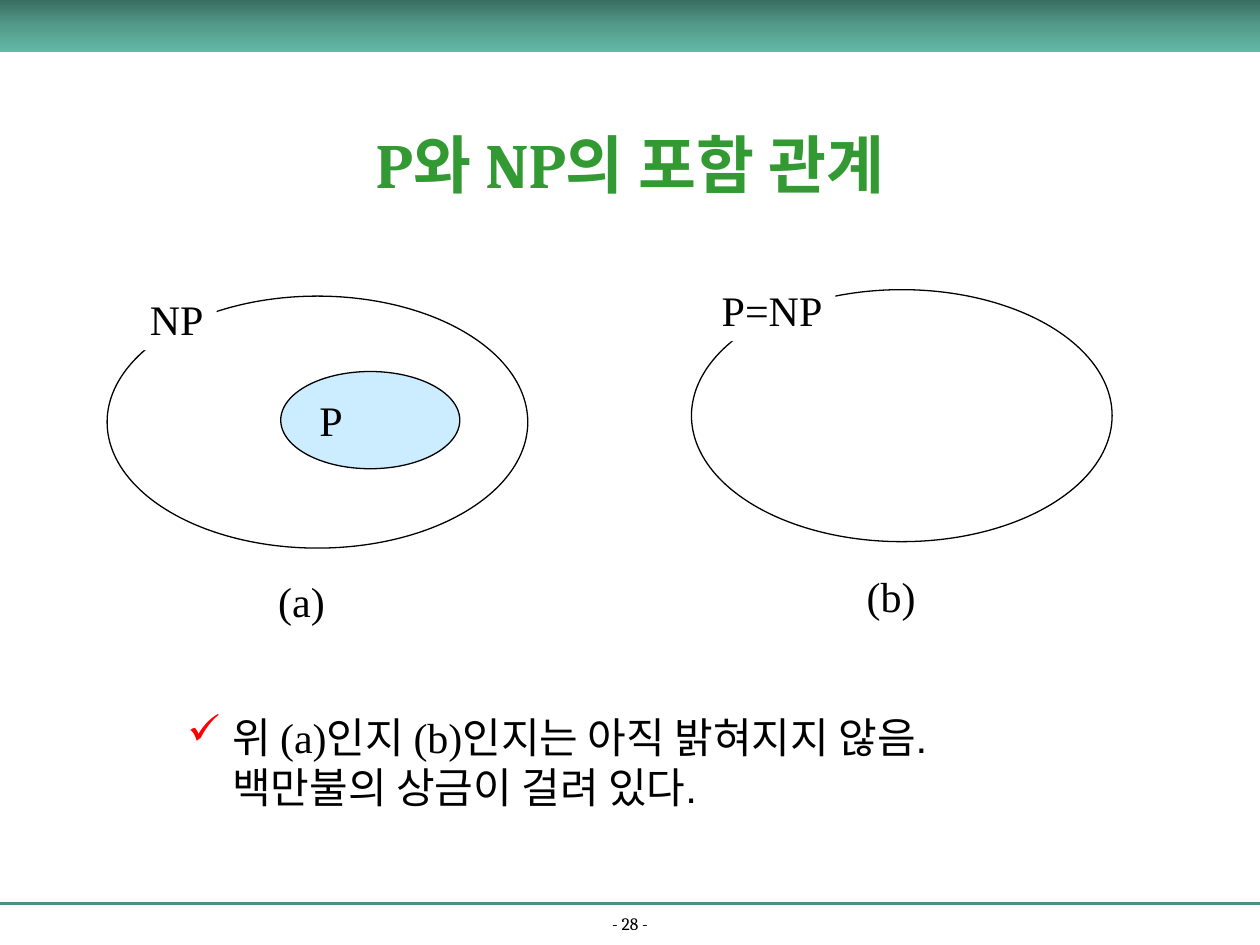
"""Build a slide on how the classes P and NP may contain each other."""
from copy import deepcopy
from lxml import etree
from pptx import Presentation
from pptx.dml.color import RGBColor
from pptx.enum import shapes, text
from pptx.oxml import ns
from pptx.util import Cm, Pt

BLACK = RGBColor(0, 0, 0)
WHITE = RGBColor(255, 255, 255)
GREEN = RGBColor(0x33, 0x99, 0x33)
TEAL = RGBColor(0x4C, 0x92, 0x82)
PALE = RGBColor(0xCC, 0xEC, 0xFF)
SHADES = ((0, "3A6D62"), (0.5, "539C8B"), (1, "62B9A5"))
SERIF = "Times New Roman"
WIDE, HIGH = 25.4, 19.05


def style(run, size=24, face=SERIF, color=BLACK, bold=False):
    """Set the font of one run."""
    font = run.font
    font.size, font.name, font.bold = Pt(size), face, bold
    font.color.rgb = color


def add_label(slide, words, x, y, w, h=1.27, fill=None):
    """Add a one-line text box, with a fill if it masks an outline."""
    box = slide.shapes.add_textbox(Cm(x), Cm(y), Cm(w), Cm(h))
    frame = box.text_frame
    frame.word_wrap = False
    frame.text = words
    style(frame.paragraphs[0].runs[0])
    if fill is not None:
        box.fill.solid()
        box.fill.fore_color.rgb = fill
    return frame


def add_oval(slide, x, y, w, h, fill=None, words=""):
    """Add an outlined oval for one class."""
    oval = slide.shapes.add_shape(
        shapes.MSO_SHAPE.OVAL, Cm(x), Cm(y), Cm(w), Cm(h))
    oval.shadow.inherit = False
    oval.line.color.rgb, oval.line.width = BLACK, Pt(0.75)
    if fill is None:
        oval.fill.background()
    else:
        oval.fill.solid()
        oval.fill.fore_color.rgb = fill
    if words:
        oval.text_frame.text = words
        style(oval.text_frame.paragraphs[0].runs[0])


def add_band(slide):
    """Add the shaded band at the top."""
    band = slide.shapes.add_shape(
        shapes.MSO_SHAPE.RECTANGLE, 0, 0, Cm(WIDE), Cm(1.06))
    band.shadow.inherit = False
    band.line.fill.background()
    band.fill.gradient()
    band.fill.gradient_angle = 270
    first = band.fill.gradient_stops[0]
    stops = band.element.spPr.find(".//" + ns.qn("a:gsLst"))
    stops.insert(1, deepcopy(stops[0]))
    for stop, (place, shade) in zip(band.fill.gradient_stops, SHADES):
        stop.position = place
        stop.color.rgb = RGBColor.from_string(shade)


def add_foot(slide):
    """Add the rule and the page number at the bottom."""
    y = Cm(18.21)
    rule = slide.shapes.add_connector(
        shapes.MSO_CONNECTOR.STRAIGHT, 0, y, Cm(WIDE), y)
    rule.line.color.rgb, rule.line.width = TEAL, Pt(1.5)
    etree.SubElement(rule.element.spPr, ns.qn("a:effectLst"))
    frame = add_label(slide, "- 28 -", 0, 18.39, WIDE, 0.56)
    frame.word_wrap = True
    frame.vertical_anchor = text.MSO_ANCHOR.BOTTOM
    frame.paragraphs[0].alignment = text.PP_ALIGN.CENTER
    style(frame.paragraphs[0].runs[0], 10, "Cambria")


def set_title(slide, words):
    """Place and format the title."""
    title = slide.shapes.title
    title.left, title.top = Cm(1.9), Cm(1.7)
    title.width, title.height = Cm(21.6), Cm(3.18)
    frame = title.text_frame
    frame.text = words
    frame.vertical_anchor = text.MSO_ANCHOR.MIDDLE
    frame.paragraphs[0].alignment = text.PP_ALIGN.CENTER
    style(frame.paragraphs[0].runs[0], 36, "Cambria", GREEN, True)


def add_tick(para):
    """Give a paragraph a red tick as its bullet."""
    props = para._p.get_or_add_pPr()
    props.set("indent", str(-Cm(0.9)))
    hue = etree.SubElement(props, ns.qn("a:buClr"))
    etree.SubElement(hue, ns.qn("a:srgbClr"), val="FF0000")
    etree.SubElement(props, ns.qn("a:buChar"), char="✓")


def add_note(slide, lines):
    """Add the ticked remark, whose lines share one left margin."""
    box = slide.shapes.add_textbox(Cm(3.53), Cm(14.22), Cm(17.5), Cm(2.29))
    frame = box.text_frame
    frame.word_wrap = True
    for i, parts in enumerate(lines):
        para = frame.add_paragraph() if i else frame.paragraphs[0]
        para._p.get_or_add_pPr().set("marL", str(Cm(0.9)))
        for part in parts:
            run = para.add_run()
            run.text = part
            style(run, face=SERIF if part.startswith("(") else "Arial")
    add_tick(frame.paragraphs[0])


def main():
    """Build and save the slide."""
    deck = Presentation()
    deck.slide_width, deck.slide_height = Cm(WIDE), Cm(HIGH)
    slide = deck.slides.add_slide(deck.slide_layouts[5])
    add_foot(slide)
    add_band(slide)
    set_title(slide, "P와 NP의 포함 관계")
    for x, y in ((2.16, 5.97), (13.94, 5.84)):
        add_oval(slide, x, y, 8.48, 5.08)
    add_oval(slide, 5.66, 7.49, 3.61, 1.96, PALE, "P")
    add_label(slide, "NP", 2.77, 5.79, 1.6, fill=WHITE)
    add_label(slide, "P=NP", 14.3, 5.61, 2.54, fill=WHITE)
    add_label(slide, "(a)", 5.36, 11.48, 1.45)
    add_label(slide, "(b)", 17.22, 11.38, 1.5)
    add_note(slide, (
        ("위 ", "(a)", "인지 ", "(b)", "인지는 아직 밝혀지지 않음."),
        ("백만불의 상금이 걸려 있다.",)))
    deck.save("out.pptx")


if __name__ == "__main__":
    main()
